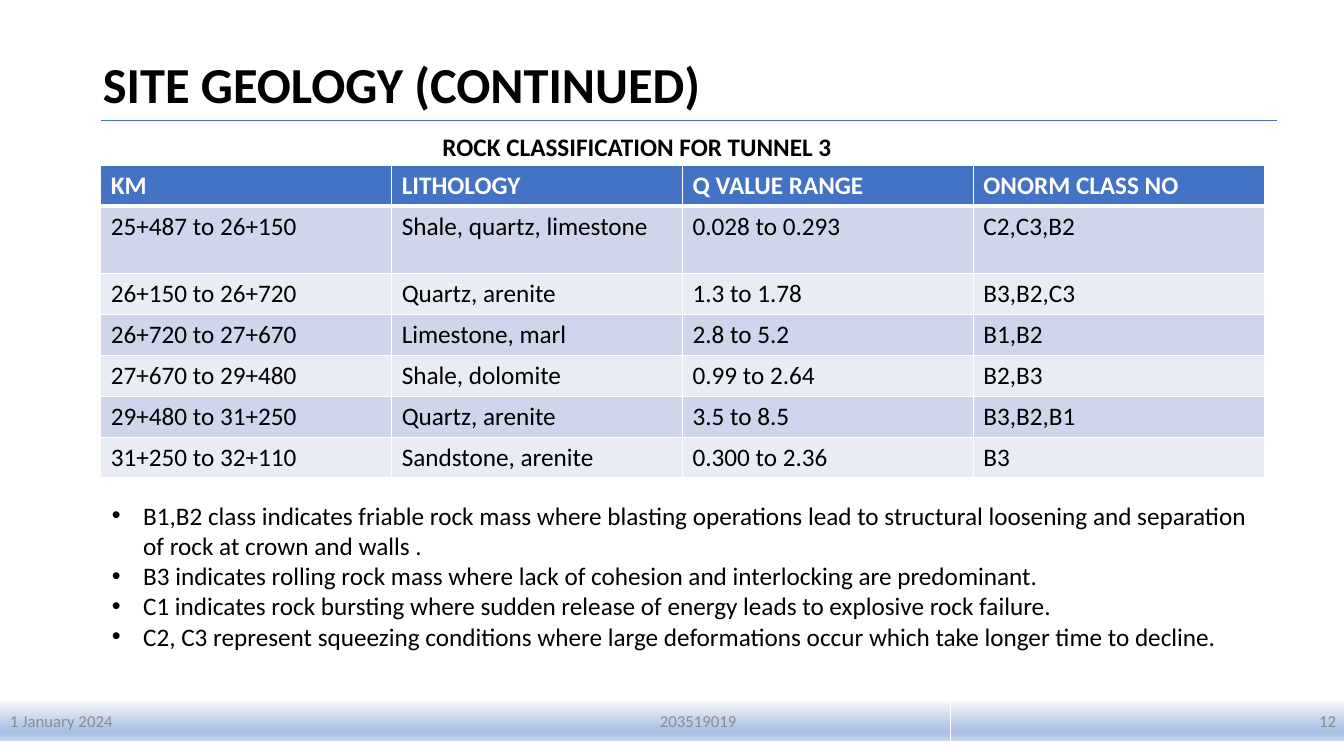
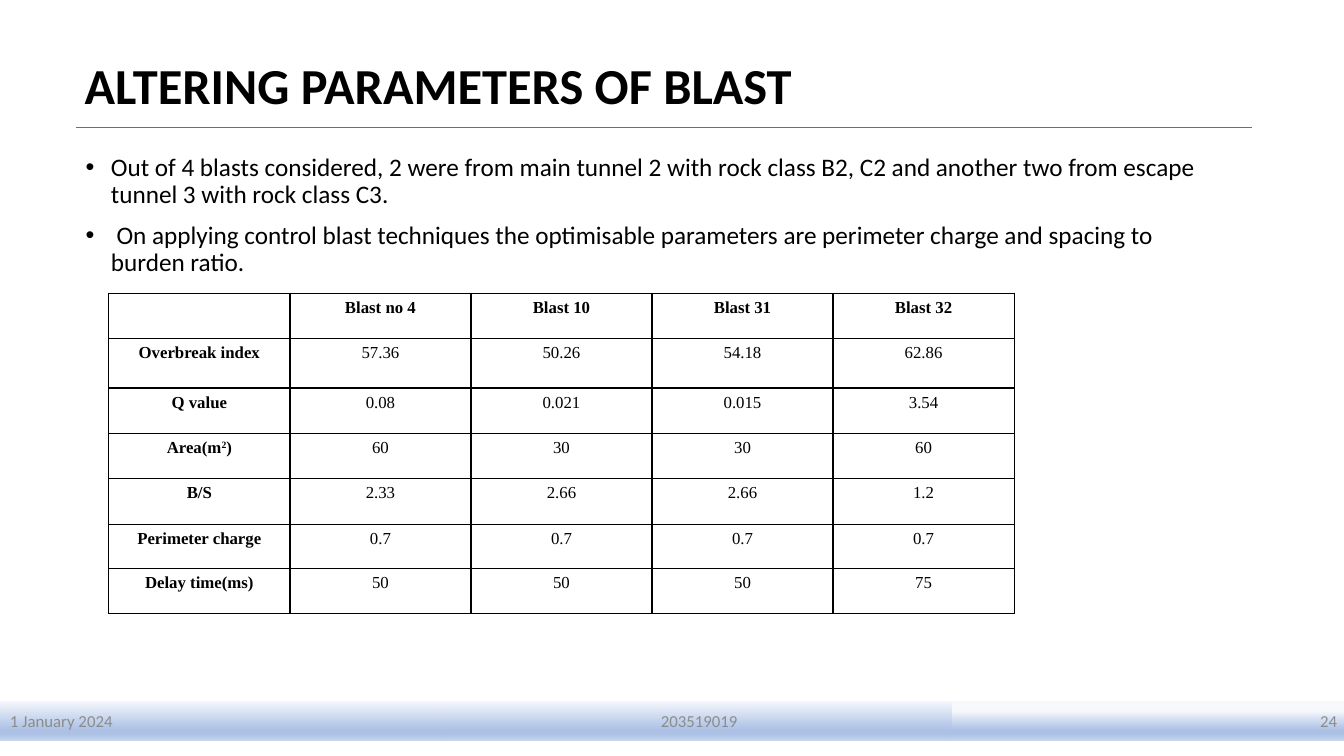
"""Build two tunnel blasting slides with a shared title, rule and footer."""
from dataclasses import dataclass
from typing import NamedTuple

from lxml.etree import SubElement as Sub
from pptx import Presentation
from pptx.dml.color import RGBColor as Rgb
from pptx.enum.shapes import MSO_CONNECTOR as Link, MSO_SHAPE as Shape
from pptx.enum.text import MSO_ANCHOR as Anchor, MSO_AUTO_SIZE as Fit, PP_ALIGN as Align
from pptx.oxml.ns import qn
from pptx.util import Inches, Pt


@dataclass(frozen=True)
class Theme:
    sans: str = "Calibri"
    serif: str = "Times New Roman"
    black: str = "000000"
    white: str = "FFFFFF"
    blue: str = "4472C4"
    dark: str = "CFD5EA"
    light: str = "E9EBF5"
    gray: str = "8C8C8C"
    fade: tuple = ("F6F8FC", "ABC0E4", "ABC0E4", "C7D5ED")
    head: int = 36
    text: int = 18
    small: int = 12


THEME = Theme()


class Box(NamedTuple):
    left: float
    top: float
    width: float
    height: float

    def place(self) -> tuple:
        return tuple(Inches(side) for side in self)


class Type(NamedTuple):
    size: int
    color: str = THEME.black
    bold: bool = False
    face: str = THEME.sans
    align: Align = Align.LEFT


class Look(NamedTuple):
    head: Type
    label: Type
    value: Type
    edge: str
    fills: tuple
    rule: int


class Grid(NamedTuple):
    box: Box
    heights: tuple
    rows: tuple
    look: Look


class Notes(NamedTuple):
    box: Box
    items: tuple
    indent: float
    space: float
    before: int


class Page(NamedTuple):
    title: str
    spot: Box
    rule: tuple
    notes: Notes
    grid: Grid
    number: str
    split: float
    start: int


HEAD = Type(THEME.head, bold=True)
TEXT = Type(THEME.text)
BOLD = Type(THEME.text, bold=True)
CELL = Type(THEME.small, face=THEME.serif, align=Align.CENTER)
LABEL = CELL._replace(bold=True)
BANDED = Look(BOLD._replace(color=THEME.white), TEXT, TEXT, THEME.white,
              (THEME.blue, THEME.dark, THEME.light), 3)
PLAIN = Look(LABEL, LABEL, CELL, THEME.black, (THEME.white,) * 3, 1)


def style(para, kind: Type) -> None:
    para.alignment = kind.align
    for run in para.runs:
        font = run.font
        font.name, font.size, font.bold = kind.face, Pt(kind.size), kind.bold
        font.color.rgb = Rgb.from_string(kind.color)


def paint(parent, color: str) -> None:
    Sub(Sub(parent, qn("a:solidFill")), qn("a:srgbClr"), val=color)


def fade(shape, start: int) -> None:
    shape.fill.gradient()
    shape.fill.gradient_angle = 270
    stops = shape.fill._fill._gradFill.find(qn("a:gsLst"))
    for stop in list(stops):
        stops.remove(stop)
    for place, color in zip((start, 74, 83, 100), THEME.fade):
        stop = Sub(stops, qn("a:gs"), pos=str(place * 1000))
        Sub(stop, qn("a:srgbClr"), val=color)


def add_title(slide, page: Page) -> None:
    title = slide.shapes.title
    title.left, title.top, title.width, title.height = page.spot.place()
    frame = title.text_frame
    frame.text = page.title
    frame.auto_size, frame.vertical_anchor = Fit.NONE, Anchor.MIDDLE
    frame.paragraphs[0].line_spacing = 0.9
    style(frame.paragraphs[0], HEAD)


def add_rule(slide, left: float, top: float) -> None:
    rule = slide.shapes.add_connector(
        Link.STRAIGHT, Inches(left), Inches(top), Inches(left + 11.67), Inches(top))
    rule.line.color.rgb = Rgb.from_string(THEME.blue)
    rule.line.width = Pt(0.5)
    Sub(rule._element.spPr, qn("a:effectLst"))


def add_notes(slide, notes: Notes) -> None:
    body = slide.placeholders[1]
    body.left, body.top, body.width, body.height = notes.box.place()
    frame = body.text_frame
    frame.text = "\n".join(notes.items)
    frame.auto_size, frame.vertical_anchor = Fit.NONE, Anchor.TOP
    for para in frame.paragraphs:
        para.line_spacing, para.space_before = notes.space, Pt(notes.before)
        style(para, TEXT)
        props = para._p.get_or_add_pPr()
        props.set("marL", str(Inches(notes.indent)))
        props.set("indent", str(-Inches(notes.indent)))
        Sub(props, qn("a:buFont"), typeface="Arial")
        Sub(props, qn("a:buChar"), char="•")


def fill_cell(cell, text: str, kind: Type, fill: str, edge: str, widths: dict) -> None:
    para = cell.text_frame.paragraphs[0]
    for index, part in enumerate(text.split("|")):
        if part:
            run = para.add_run()
            run.text = part
            if index % 2:
                run.font._element.set("baseline", "30000")
    style(para, kind)
    props = cell._tc.get_or_add_tcPr()
    for side in "LRTB":
        width = Pt(widths.get(side, 1))
        paint(Sub(props, qn(f"a:ln{side}"), w=str(width)), edge)
    cell.fill.solid()
    cell.fill.fore_color.rgb = Rgb.from_string(fill)


def add_grid(slide, grid: Grid) -> None:
    look, count = grid.look, len(grid.rows[0])
    table = slide.shapes.add_table(len(grid.rows), count, *grid.box.place()).table
    table.horz_banding = False
    for column in table.columns:
        column.width = Inches(grid.box.width / count)
    for index, (texts, height) in enumerate(zip(grid.rows, grid.heights)):
        table.rows[index].height = Inches(height)
        fill = look.fills[0 if index == 0 else 2 - index % 2]
        widths = {0: {"B": look.rule}, 1: {"T": look.rule}}.get(index, {})
        for col, text in enumerate(texts):
            kind = look.head if index == 0 else look.value if col else look.label
            fill_cell(table.cell(index, col), text, kind, fill, look.edge, widths)


def add_band(slide, box: Box, text: str, align: Align, start: int = 0) -> None:
    band = slide.shapes.add_shape(Shape.RECTANGLE, *box.place())
    band.shadow.inherit = False
    band.line.fill.background()
    fade(band, start)
    band.text_frame.text = text
    band.text_frame.vertical_anchor = Anchor.MIDDLE
    style(band.text_frame.paragraphs[0], Type(THEME.small, THEME.gray, align=align))


def add_foot(slide, page: Page) -> None:
    top, height, first = 6.95, 0.4, 4.43
    add_band(slide, Box(0, top, first, height), "1 January 2024", Align.LEFT)
    add_band(slide, Box(first, top, page.split - first, height), "203519019", Align.CENTER)
    right = 9.43 if page.start == 0 else page.split
    add_band(slide, Box(right, top, 3.92, height), page.number, Align.RIGHT, page.start)


def add_label(slide, box: Box, text: str) -> None:
    label = slide.shapes.add_textbox(*box.place())
    label.text_frame.word_wrap = True
    label.text_frame.text = text
    style(label.text_frame.paragraphs[0], BOLD)


def add_page(deck, page: Page):
    slide = deck.slides.add_slide(deck.slide_layouts[1])
    add_title(slide, page)
    add_notes(slide, page.notes)
    add_foot(slide, page)
    add_rule(slide, *page.rule)
    add_grid(slide, page.grid)
    return slide


ROCK = Page(
    "SITE GEOLOGY (CONTINUED)", Box(0.92, 0.14, 11.5, 1.45), (1, 1.19),
    Notes(Box(1.01, 4.91, 11.54, 1.62), (
        "B1,B2 class indicates friable rock mass where blasting operations lead to "
        "structural loosening and separation of rock at crown and walls .",
        "B3 indicates rolling rock mass where lack of cohesion and interlocking are predominant.",
        "C1 indicates rock bursting where sudden release of energy leads to explosive rock failure.",
        "C2, C3 represent squeezing conditions where large deformations occur which take "
        "longer time to decline.",
    ), 0.31, 1.0, 0),
    Grid(Box(1, 1.64, 11.54, 3.07), (0.38, 0.67) + (0.38,) * 5, (
        ("KM", "LITHOLOGY", "Q VALUE RANGE", "ONORM CLASS NO"),
        ("25+487 to 26+150", "Shale, quartz, limestone", "0.028 to 0.293", "C2,C3,B2"),
        ("26+150 to 26+720", "Quartz, arenite", "1.3 to 1.78", "B3,B2,C3"),
        ("26+720 to 27+670", "Limestone, marl", "2.8 to 5.2", "B1,B2"),
        ("27+670 to 29+480", "Shale, dolomite", "0.99 to 2.64", "B2,B3"),
        ("29+480 to 31+250", "Quartz, arenite", "3.5 to 8.5", "B3,B2,B1"),
        ("31+250 to 32+110", "Sandstone, arenite", "0.300 to 2.36", "B3"),
    ), BANDED), "12", 9.42, 0)

BLAST = Page(
    "ALTERING PARAMETERS OF BLAST", Box(0.74, 0.15, 11.5, 1.45), (0.75, 1.26),
    Notes(Box(0.75, 1.48, 11.5, 4.76), (
        "Out of 4 blasts considered, 2 were from main tunnel 2 with rock class B2, C2 and "
        "another two from escape tunnel 3 with rock class C3.",
        " On applying control blast techniques the optimisable parameters are perimeter "
        "charge and spacing to burden ratio.",
    ), 0.25, 0.9, 10),
    Grid(Box(1.08, 2.91, 8.98, 3.19), (0.45, 0.49, 0.45, 0.45, 0.45, 0.44, 0.45), (
        ("", "Blast no 4", "Blast 10", "Blast 31", "Blast 32"),
        ("Overbreak index", "57.36", "50.26", "54.18", "62.86"),
        ("Q value", "0.08", "0.021", "0.015", "3.54"),
        ("Area(m|2|)", "60", "30", "30", "60"),
        ("B/S", "2.33", "2.66", "2.66", "1.2"),
        ("Perimeter charge", "0.7", "0.7", "0.7", "0.7"),
        ("Delay time(ms)", "50", "50", "50", "75"),
    ), PLAIN), "24", 9.44, 25)


def main() -> None:
    deck = Presentation()
    deck.slide_width, deck.slide_height = Inches(13.33), Inches(7.5)
    rock = add_page(deck, ROCK)
    add_label(rock, Box(4.29, 1.25, 4.11, 0.4), "ROCK CLASSIFICATION FOR TUNNEL 3")
    add_page(deck, BLAST)
    deck.save("out.pptx")


if __name__ == "__main__":
    main()
